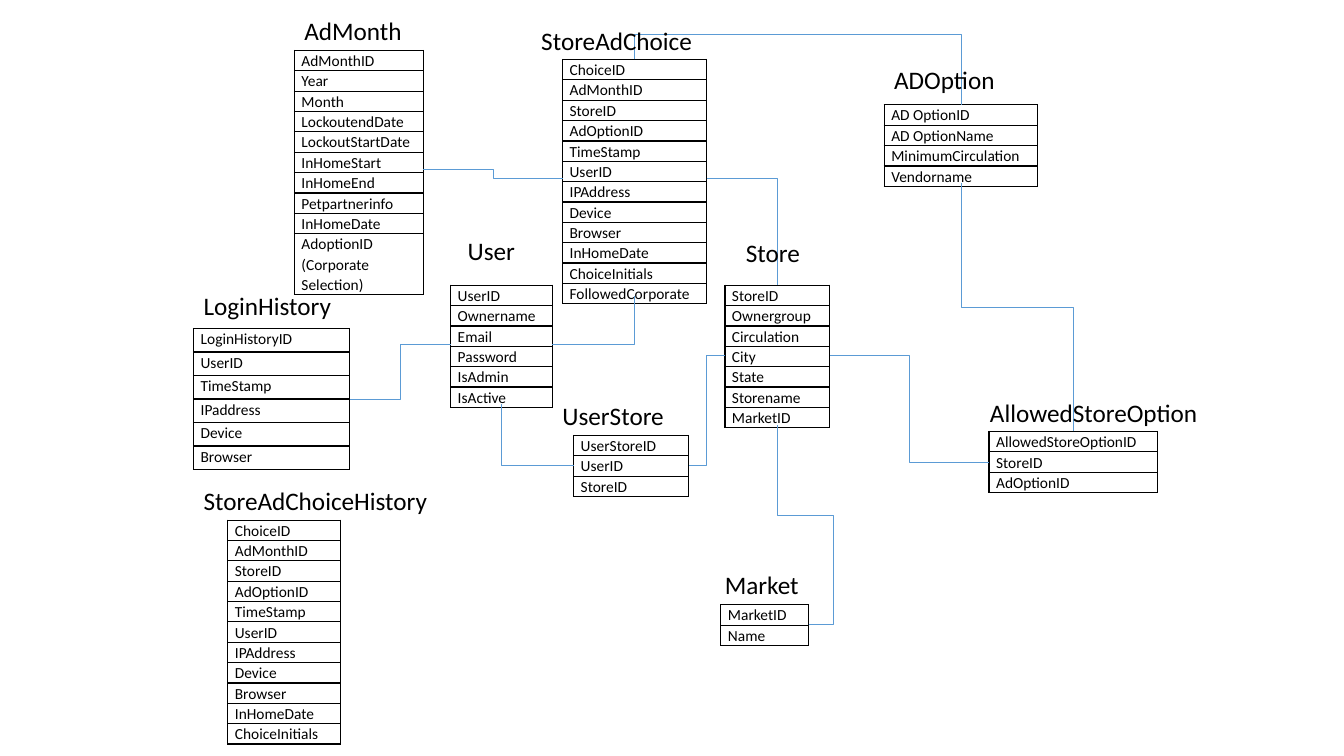
from dataclasses import dataclass

from lxml import etree
from pptx import Presentation
from pptx.dml.color import RGBColor
from pptx.enum.shapes import MSO_CONNECTOR
from pptx.oxml.ns import qn
from pptx.util import Inches, Pt

BLANK_LAYOUT = 6


@dataclass(frozen=True)
class Theme:
    """Colours, font and sizes of the diagram."""
    font: str = "Calibri"
    ink: RGBColor = RGBColor(0x00, 0x00, 0x00)
    relation: RGBColor = RGBColor(0x5B, 0x9B, 0xD5)
    name_size: Pt = Pt(18)
    field_size: Pt = Pt(11)
    border: Pt = Pt(1)
    relation_width: Pt = Pt(0.5)
    field_spacing: float = 1.07
    field_inset: float = 0.07


THEME = Theme()


@dataclass(frozen=True)
class Entity:
    """A database table: its box in inches, its name box and its fields."""
    box: tuple
    name_box: tuple
    fields: str
    wrapped_lines: int = 0

    def side(self, name):
        """Return the middle of one side of the box."""
        left, top, width, height = self.box
        return {
            "left": (left, top + height / 2),
            "right": (left + width, top + height / 2),
            "top": (left + width / 2, top),
            "bottom": (left + width / 2, top + height),
        }[name]


CHOICE_FIELDS = ("ChoiceID AdMonthID StoreID AdOptionID TimeStamp UserID "
                 "IPAddress Device Browser InHomeDate ChoiceInitials").replace(" ", "|")

ENTITIES = {
    "LoginHistory": Entity((1.92, 3.26, 1.55, 1.4), (1.92, 2.83, 1.55),
                           "LoginHistoryID|UserID|TimeStamp|IPaddress|Device|Browser"),
    "StoreAdChoice": Entity((5.58, 0.59, 1.43, 2.35), (5.27, 0.2, 1.94),
                            CHOICE_FIELDS + "|FollowedCorporate"),
    "AllowedStoreOption": Entity((9.81, 4.28, 1.67, 0.61), (9.72, 3.89, 2.52),
                                 "AllowedStoreOptionID|StoreID|AdOptionID"),
    "User": Entity((4.47, 2.83, 1.01, 1.18), (4.54, 2.29, 0.73),
                   "UserID|Ownername|Email|Password|IsAdmin|IsActive"),
    "Store": Entity((7.19, 2.83, 1.04, 1.39), (7.3, 2.31, 0.78),
                    "StoreID|Ownergroup|Circulation|City|State|Storename|MarketID"),
    "UserStore": Entity((5.69, 4.32, 1.14, 0.59), (5.48, 3.92, 1.44),
                        "UserStoreID|UserID|StoreID"),
    "ADOption": Entity((8.77, 1.04, 1.52, 0.78), (8.77, 0.59, 1.34),
                       "AD OptionID|AD OptionName|MinimumCirculation|Vendorname"),
    "AdMonth": Entity((2.92, 0.5, 1.28, 2.37), (2.92, 0.1, 1.62),
                      "AdMonthID|Year|Month|LockoutendDate|LockoutStartDate|InHomeStart|"
                      "InHomeEnd|Petpartnerinfo|InHomeDate|AdoptionID (Corporate Selection)",
                      wrapped_lines=2),
    "Market": Entity((7.15, 6, 0.87, 0.39), (7.09, 5.6, 0.99), "MarketID|Name"),
    "StoreAdChoiceHistory": Entity((2.26, 5.16, 1.12, 2.16), (1.92, 4.77, 2.55), CHOICE_FIELDS),
}

# Start entity and side, end entity and side, then where the line turns:
# None is halfway, no value is a single corner.
RELATIONS = [
    ("Store", "left", "UserStore", "right", None),
    ("User", "bottom", "UserStore", "left"),
    ("Market", "right", "Store", "bottom", 8.27, 5.11),
    ("LoginHistory", "right", "User", "left", None),
    ("AllowedStoreOption", "left", "Store", "right", None),
    ("StoreAdChoice", "right", "Store", "top"),
    ("StoreAdChoice", "left", "AdMonth", "right", None),
    ("AllowedStoreOption", "top", "ADOption", "bottom", None),
    ("StoreAdChoice", "top", "ADOption", "top", 0.34),
    ("StoreAdChoice", "bottom", "User", "right"),
]


def style_text(paragraph, size):
    """Give a paragraph the diagram's font, size and colour."""
    paragraph.font.name = THEME.font
    paragraph.font.size = size
    paragraph.font.color.rgb = THEME.ink


def add_borders(cell):
    """Draw a thin line on all four sides of a cell."""
    properties = cell._tc.get_or_add_tcPr()
    for tag in ("a:lnL", "a:lnR", "a:lnT", "a:lnB"):
        line = etree.SubElement(properties, qn(tag), w=str(THEME.border))
        fill = etree.SubElement(line, qn("a:solidFill"))
        etree.SubElement(fill, qn("a:srgbClr"), val=str(THEME.ink))


def add_field(cell, text):
    """Fill one cell with a field name."""
    cell.margin_left = cell.margin_right = Inches(THEME.field_inset)
    cell.margin_top = cell.margin_bottom = 0
    add_borders(cell)
    cell.fill.background()
    paragraph = cell.text_frame.paragraphs[0]
    paragraph.text = text
    paragraph.line_spacing = THEME.field_spacing
    style_text(paragraph, THEME.field_size)


def add_entity(slide, entity):
    """Add the one-column table of an entity's fields."""
    fields = entity.fields.split("|")
    left, top, width, height = map(Inches, entity.box)
    table = slide.shapes.add_table(len(fields), 1, left, top, width, height).table
    table.first_row = table.horz_banding = False
    line_height = height // (len(fields) + entity.wrapped_lines)
    for row, field in zip(table.rows, fields):
        row.height = line_height
        add_field(row.cells[0], field)
    table.rows[len(fields) - 1].height = line_height * (1 + entity.wrapped_lines)


def add_name(slide, name, name_box):
    """Add the heading of an entity."""
    left, top, width = map(Inches, name_box)
    text_box = slide.shapes.add_textbox(left, top, width, Inches(0.4))
    text_box.text_frame.word_wrap = True
    paragraph = text_box.text_frame.paragraphs[0]
    paragraph.text = name
    style_text(paragraph, THEME.name_size)


def add_relation(slide, start_name, start_side, end_name, end_side, *turns):
    """Add an elbow connector that leaves one entity's side and turns where told."""
    start = ENTITIES[start_name].side(start_side)
    end = ENTITIES[end_name].side(end_side)
    (x1, y1), (x2, y2) = start, end
    connector = slide.shapes.add_connector(
        MSO_CONNECTOR.ELBOW, *map(Inches, (x1, y1, x2, y2)))
    connector.line.color.rgb = THEME.relation
    connector.line.width = THEME.relation_width
    properties = connector._element.spPr
    etree.SubElement(properties, qn("a:effectLst"))

    first_axis = 0
    if start_side in ("top", "bottom"):
        first_axis = 1
        width, height = abs(y2 - y1), abs(x2 - x1)
        connector.left = Inches((x1 + x2 - width) / 2)
        connector.top = Inches((y1 + y2 - height) / 2)
        connector.width, connector.height = Inches(width), Inches(height)
        connector.rotation = 270
        frame = properties.find(qn("a:xfrm"))
        frame.set("flipH", str(int(y2 > y1)))
        frame.set("flipV", str(int(x2 < x1)))

    geometry = properties.find(qn("a:prstGeom"))
    geometry.set("prst", f"bentConnector{len(turns) + 2}")
    guides = geometry.find(qn("a:avLst"))
    for index, turn in enumerate(turns):
        axis = (first_axis + index) % 2
        share = 0.5 if turn is None else (turn - start[axis]) / (end[axis] - start[axis])
        etree.SubElement(guides, qn("a:gd"), name=f"adj{index + 1}",
                         fmla=f"val {round(share * 100000)}")


def main():
    """Build the entity diagram and save it."""
    presentation = Presentation()
    presentation.slide_width, presentation.slide_height = Inches(13.33), Inches(7.5)
    slide = presentation.slides.add_slide(presentation.slide_layouts[BLANK_LAYOUT])
    for entity in ENTITIES.values():
        add_entity(slide, entity)
    for relation in RELATIONS:
        add_relation(slide, *relation)
    for name, entity in ENTITIES.items():
        add_name(slide, name, entity.name_box)
    presentation.save("out.pptx")


main()
